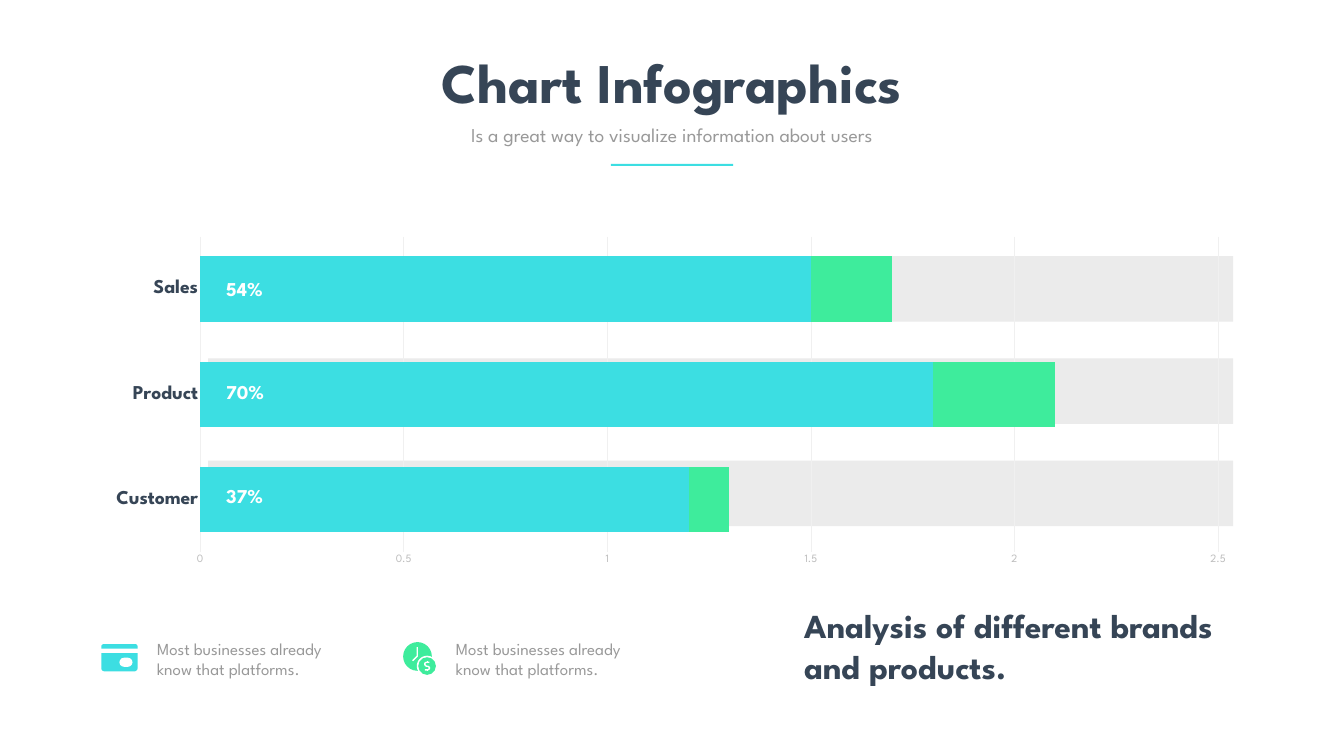
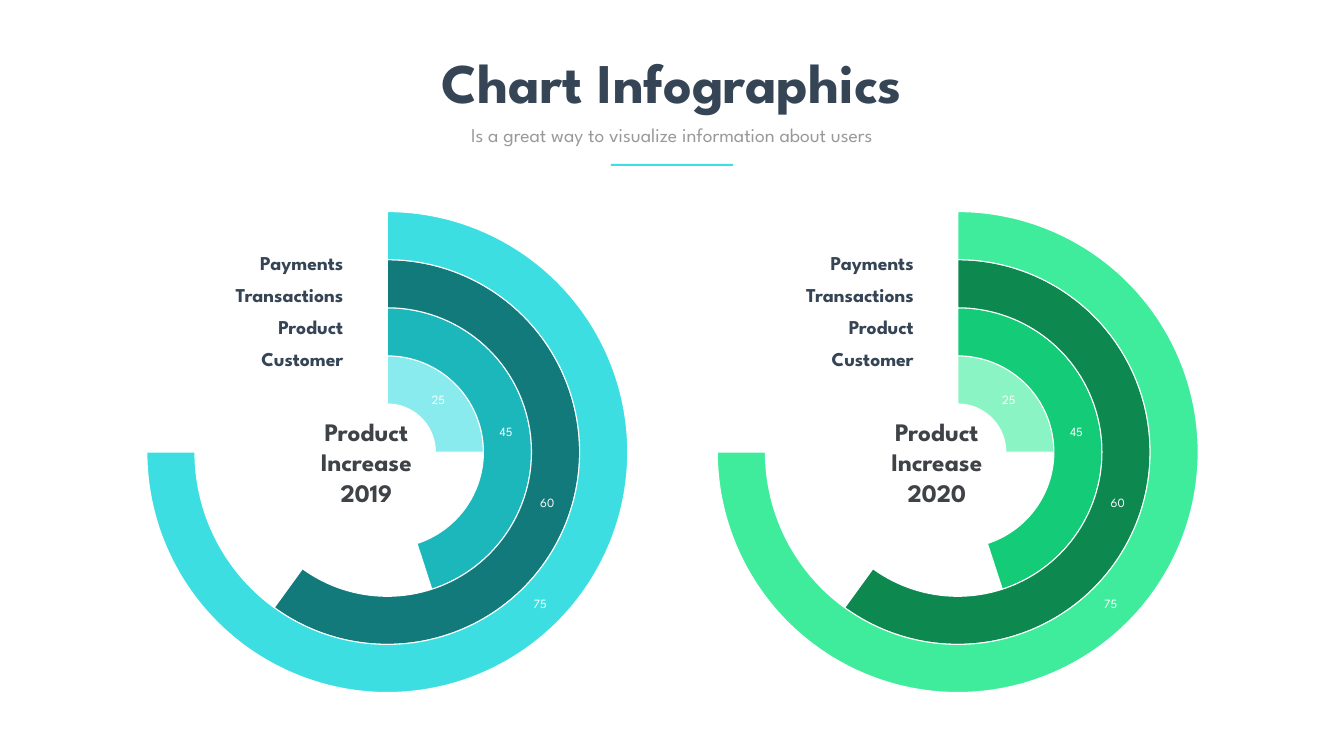
from dataclasses import dataclass

from pptx import Presentation
from pptx.chart.data import CategoryChartData
from pptx.dml.color import RGBColor
from pptx.enum.chart import XL_CHART_TYPE, XL_TICK_MARK
from pptx.enum.shapes import MSO_SHAPE
from pptx.enum.text import MSO_ANCHOR, MSO_AUTO_SIZE, PP_ALIGN
from pptx.oxml import parse_xml
from pptx.oxml.ns import nsdecls, qn
from pptx.util import Inches, Pt


@dataclass(frozen=True)
class Theme:
    font: str = "League Spartan"
    dark: str = "364556"
    charcoal: str = "3F4347"
    gray: str = "999999"
    axis: str = "BDBDBD"
    grid: str = "F0F0F0"
    track: str = "EBEBEB"
    white: str = "FFFFFF"
    cyan: str = "3CDEE2"
    green: str = "3EEC9C"
    title: int = 80
    statement: int = 48
    center: int = 36
    label: int = 28
    note: int = 24
    value: int = 18
    tick: int = 16


T = Theme()

TITLE = "Chart Infographics"
SUBTITLE = "Is a great way to visualize information about users"
NOTE = "Most businesses already know that platforms."
STATEMENT = "Analysis of different brands and products."

BAR_CATEGORIES = ["Customer", "Product", "Sales"]
BAR_SERIES = [
    ("Series 1", (1.2, 1.8, 1.5), T.cyan),
    ("Series 2", (0.1, 0.3, 0.2), T.green),
]
PERCENTS = ["54%", "70%", "37%"]

RING_LABELS = ["Payments", "Transactions", "Product", "Customer"]
RING_VALUES = [25, 45, 60, 75]
RING_CHARTS = [
    ("2019", ["8AEBEE", "1CB7BB", "137A7C", T.cyan]),
    ("2020", ["8BF4C4", "14CB77", "0D884F", T.green]),
]
RING_LEFT, RING_WIDTH = 2.02, 11.32


def rgb(color):
    return RGBColor.from_string(color)


def style_font(font, size, color, bold=False):
    font.name, font.size, font.bold = T.font, Pt(size), bold
    font.color.rgb = rgb(color)


def place(sp, box):
    sp.left, sp.top, sp.width, sp.height = (Inches(v) for v in box)


def write(sp, text, size, color, bold=False, align=PP_ALIGN.LEFT,
          anchor=MSO_ANCHOR.TOP, inset=None):
    tf = sp.text_frame
    tf.text = text
    tf.word_wrap = True
    tf.auto_size = MSO_AUTO_SIZE.NONE
    tf.vertical_anchor = anchor
    if inset is not None:
        tf.margin_left = tf.margin_right = Inches(inset)
        tf.margin_top = tf.margin_bottom = Inches(inset)
    for p in tf.paragraphs:
        p.alignment = align
        p.space_before = Pt(0)
        for r in p.runs:
            style_font(r.font, size, color, bold)


def add_text(slide, box, text, size, color, **options):
    sp = slide.shapes.add_textbox(*(Inches(v) for v in box))
    write(sp, text, size, color, **options)


def add_block(slide, box, color, kind=MSO_SHAPE.RECTANGLE):
    sp = slide.shapes.add_shape(kind, *(Inches(v) for v in box))
    sp.shadow.inherit = False
    sp.fill.solid()
    sp.fill.fore_color.rgb = rgb(color)
    sp.line.fill.background()
    return sp


def add_stroke(slide, points, width):
    """Open white line through points given in inches."""
    start, *rest = [(Inches(x), Inches(y)) for x, y in points]
    builder = slide.shapes.build_freeform(*start)
    builder.add_line_segments(rest, close=False)
    sp = builder.convert_to_shape()
    sp.shadow.inherit = False
    sp.fill.background()
    sp.line.color.rgb = rgb(T.white)
    sp.line.width = Pt(width)


def new_slide(prs):
    slide = prs.slides.add_slide(prs.slide_layouts[0])
    title, subtitle = slide.placeholders
    place(title, (6.88, 0.9, 12.91, 1.45))
    write(title, TITLE, T.title, T.dark, bold=True, align=PP_ALIGN.CENTER)
    place(subtitle, (8.55, 2.38, 9.56, 0.57))
    write(subtitle, SUBTITLE, T.label, T.gray, align=PP_ALIGN.CENTER)
    add_block(slide, (12.12, 3.25, 2.43, 0.04), T.cyan)
    return slide


def add_chart(slide, kind, box, data, size, color, plot_area):
    """Chart without title or legend; plot_area is x, y, w, h as fractions."""
    frame = slide.shapes.add_chart(kind, *(Inches(v) for v in box), data)
    chart = frame.chart
    chart.has_title = chart.has_legend = False
    style_font(chart.font, size, color)
    area = chart._chartSpace.chart.plotArea
    for old in area.findall(qn("c:layout")):
        area.remove(old)
    sizes = "".join(f'<c:{k} val="{v}"/>' for k, v in zip("xywh", plot_area))
    area.insert(0, parse_xml(
        f'<c:layout {nsdecls("c")}><c:manualLayout><c:layoutTarget val="inner"/>'
        f'<c:xMode val="edge"/><c:yMode val="edge"/>{sizes}'
        '</c:manualLayout></c:layout>'))
    return chart


def add_bar_chart(slide):
    data = CategoryChartData()
    data.categories = BAR_CATEGORIES
    for name, values, _ in BAR_SERIES:
        data.add_series(name, values)
    chart = add_chart(slide, XL_CHART_TYPE.BAR_STACKED, (1.86, 4.56, 22.93, 6.77),
                      data, T.tick, T.gray, (0.092, 0.02, 0.881, 0.925))
    plot = chart.plots[0]
    plot.gap_width, plot.overlap, plot.vary_by_categories = 60, 100, False
    for series, (_, _, color) in zip(plot.series, BAR_SERIES):
        series.format.fill.solid()
        series.format.fill.fore_color.rgb = rgb(color)

    cat, val = chart.category_axis, chart.value_axis
    for axis in (cat, val):
        axis.major_tick_mark = axis.minor_tick_mark = XL_TICK_MARK.NONE
    style_font(cat.tick_labels.font, T.label, T.dark, bold=True)
    style_font(val.tick_labels.font, T.tick, T.axis)
    val.minimum_scale, val.maximum_scale, val.major_unit = 0, 2.5, 0.5
    val.format.line.fill.background()
    val.has_major_gridlines = True
    for line in (cat.format.line, val.major_gridlines.format.line):
        line.color.rgb = rgb(T.grid)
        line.width = Pt(0.75)


def add_ring_chart(slide, left, colors):
    data = CategoryChartData()
    data.categories = ["1", "2"]
    for i, value in enumerate(RING_VALUES, 1):
        data.add_series(f"Series {i}", (value, 100 - value))
    chart = add_chart(slide, XL_CHART_TYPE.DOUGHNUT, (left, 4.05, RING_WIDTH, 9.84),
                      data, T.value, T.white, (0.079, 0.015, 0.843, 0.97))
    plot = chart.plots[0]
    chart._chartSpace.find(".//" + qn("c:holeSize")).set("val", "35")
    for series, color in zip(plot.series, colors):
        filled, rest = series.points[0].format, series.points[1].format
        filled.fill.solid()
        filled.fill.fore_color.rgb = rgb(color)
        filled.line.color.rgb = rgb(T.white)
        filled.line.width = Pt(1.5)
        rest.fill.background()
        rest.line.fill.background()
        labels = series.data_labels
        labels.show_value = True
        style_font(labels.font, T.value, T.white)
        labels._element.insert(0, parse_xml(
            f'<c:dLbl {nsdecls("c")}><c:idx val="1"/><c:delete val="1"/></c:dLbl>'))


def add_wallet(slide, x, y):
    add_block(slide, (x, y, 0.72, 0.09), T.cyan, MSO_SHAPE.ROUND_2_SAME_RECTANGLE
              ).adjustments[0] = 0.5
    body = add_block(slide, (x, y + 0.18, 0.72, 0.36), T.cyan,
                     MSO_SHAPE.ROUND_2_SAME_RECTANGLE)
    body.rotation = 180
    clasp = add_block(slide, (x + 0.36, y + 0.27, 0.26, 0.18), T.white,
                      MSO_SHAPE.ROUNDED_RECTANGLE)
    clasp.adjustments[0] = 0.5


def add_clock_with_coin(slide, x, y):
    for dx, dy, size, color in [(0, 0, 0.57, T.green), (0.27, 0.27, 0.41, T.white),
                                (0.3, 0.3, 0.35, T.green)]:
        add_block(slide, (x + dx, y + dy, size, size), color, MSO_SHAPE.OVAL)
    hands = [(0.28, 0.1), (0.28, 0.28), (0.19, 0.37)]
    dollar = [(0.52, 0.4), (0.46, 0.4), (0.43, 0.42), (0.43, 0.45), (0.46, 0.48),
              (0.49, 0.48), (0.52, 0.5), (0.52, 0.53), (0.49, 0.55), (0.43, 0.55)]
    ticks = [[(0.48, 0.37), (0.48, 0.4)], [(0.48, 0.55), (0.48, 0.58)]]
    for points in [hands, dollar, *ticks]:
        add_stroke(slide, [(x + dx, y + dy) for dx, dy in points], 2)


def build_bar_slide(prs):
    slide = new_slide(prs)
    for i in range(len(PERCENTS)):
        add_block(slide, (4.13, 5.08 + i * 2.03, 20.34, 1.3), T.track)
    add_bar_chart(slide)
    for i, percent in enumerate(PERCENTS):
        add_text(slide, (4.43, 5.44 + i * 2.05, 2.14, 0.58), percent, T.label,
                 T.white, bold=True, anchor=MSO_ANCHOR.MIDDLE, inset=0.06)
    add_wallet(slide, 2.01, 12.78)
    add_clock_with_coin(slide, 8, 12.74)
    for left in (3.02, 8.95):
        add_text(slide, (left, 12.62, 4.17, 0.91), NOTE, T.note, T.gray)
    add_text(slide, (15.86, 11.96, 9.14, 1.72), STATEMENT, T.statement, T.dark,
             bold=True)


def build_ring_slide(prs):
    slide = new_slide(prs)
    for i, (year, colors) in enumerate(RING_CHARTS):
        left = RING_LEFT + i * RING_WIDTH
        add_ring_chart(slide, left, colors)
        for row, label in enumerate(RING_LABELS):
            add_text(slide, (left + 1.75, 4.92 + row * 0.64, 3.14, 0.57), label,
                     T.label, T.dark, bold=True, align=PP_ALIGN.RIGHT)
        add_text(slide, (left + 3.78, 8.2, 2.94, 1.93), f"Product Increase\n{year}",
                 T.center, T.charcoal, bold=True, align=PP_ALIGN.CENTER,
                 anchor=MSO_ANCHOR.MIDDLE, inset=0.06)


def main():
    prs = Presentation()
    prs.slide_width, prs.slide_height = Inches(26.67), Inches(15)
    build_bar_slide(prs)
    build_ring_slide(prs)
    prs.save("out.pptx")


if __name__ == "__main__":
    main()
